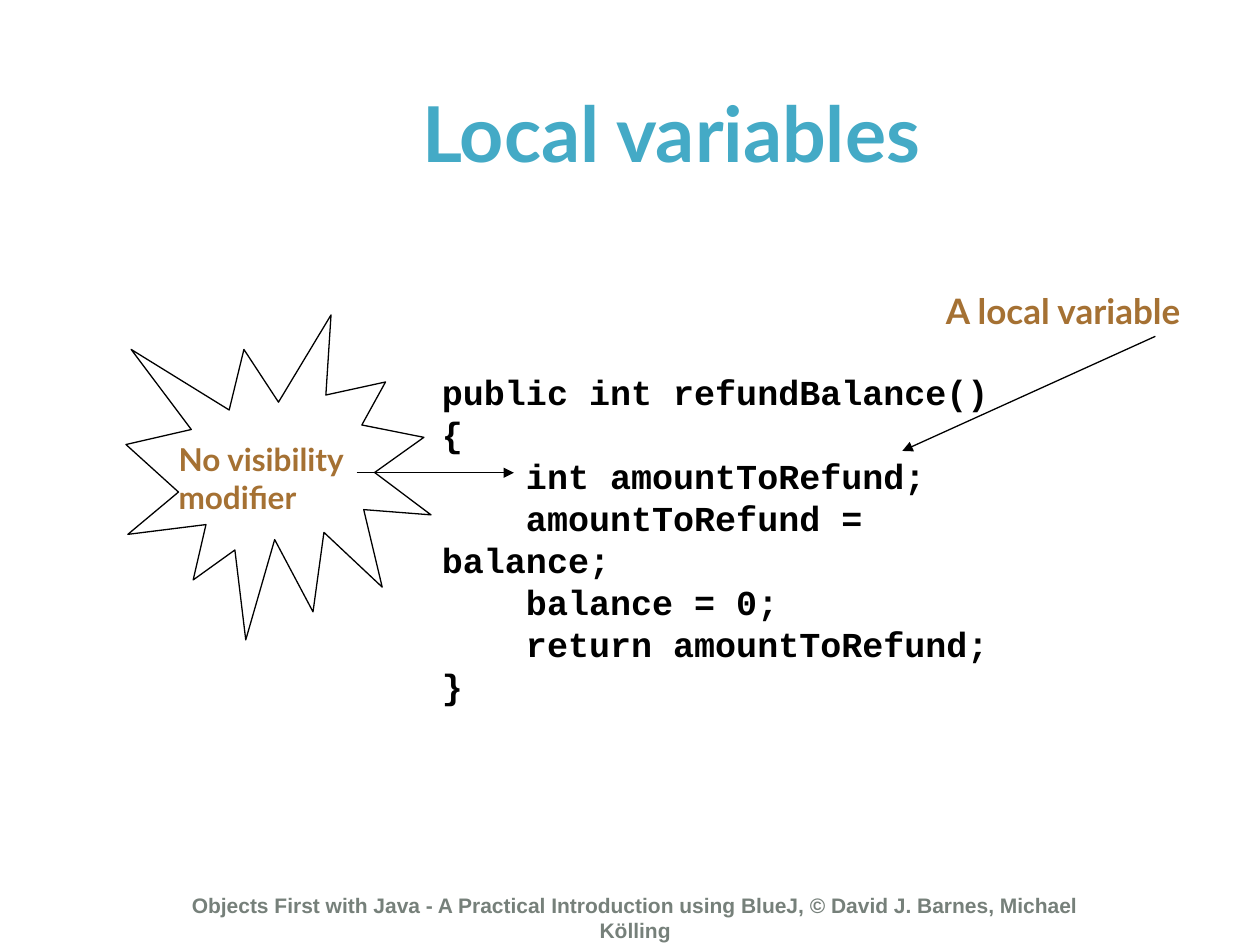
from lxml import etree
from pptx import Presentation
from pptx.dml.color import RGBColor
from pptx.enum.shapes import MSO_CONNECTOR as CONN, MSO_SHAPE as SHAPE
from pptx.enum.text import MSO_ANCHOR as ANCHOR, MSO_AUTO_SIZE as AUTO, PP_ALIGN as ALIGN
from pptx.oxml.ns import qn
from pptx.util import Cm, Pt


def rgb(value):
    return RGBColor.from_string(value)


class Deck:
    black, white = "000000", "FFFFFF"
    teal, brown, grey = "44AAC6", "A57133", "76807A"
    heading, code, small = "Lato", "Courier New", "Arial"
    line_width = Pt(0.75)

    def __init__(self, width, height):
        self.prs = Presentation()
        self.prs.slide_width, self.prs.slide_height = Cm(width), Cm(height)
        self.s = self.prs.slides.add_slide(self.prs.slide_layouts[6])

    def text(self, box, lines, size, font, color, align=ALIGN.LEFT,
             anchor=ANCHOR.TOP, wrap=False):
        tf = self.s.shapes.add_textbox(*map(Cm, box)).text_frame
        tf.word_wrap = wrap
        tf.auto_size = AUTO.NONE if wrap else AUTO.SHAPE_TO_FIT_TEXT
        tf.vertical_anchor = anchor
        for i, line in enumerate(lines):
            p = tf.add_paragraph() if i else tf.paragraphs[0]
            p.alignment = align
            r = p.add_run()
            r.text = line
            r.font.size, r.font.name, r.font.bold = Pt(size), font, True
            r.font.color.rgb = rgb(color)

    def burst(self, box):
        sp = self.s.shapes.add_shape(SHAPE.EXPLOSION1, *map(Cm, box))
        sp.shadow.inherit = False
        sp.fill.solid()
        sp.fill.fore_color.rgb = rgb(self.white)
        sp.line.color.rgb = rgb(self.black)
        sp.line.width = self.line_width

    def arrow(self, start, end):
        cx = self.s.shapes.add_connector(CONN.STRAIGHT, *map(Cm, start + end))
        cx.line.color.rgb = rgb(self.black)
        cx.line.width = self.line_width
        ln = cx.line._get_or_add_ln()
        etree.SubElement(ln, qn("a:tailEnd"), type="triangle")
        etree.SubElement(cx._element.spPr, qn("a:effectLst"))

    def save(self):
        self.prs.save("out.pptx")


def main():
    d = Deck(25.4, 19.05)
    d.text((2.74, 1.07, 21.59, 3.18), ["Local variables"], 44, d.heading, d.teal,
           ALIGN.CENTER, ANCHOR.MIDDLE, True)
    d.text((3.18, 17.86, 19.25, 0.84),
           ["Objects First with Java - A Practical Introduction using BlueJ, "
            "© David J. Barnes, Michael Kölling"],
           12, d.small, d.grey, ALIGN.CENTER, wrap=True)
    d.text((8.66, 7.34, 12.8, 6.2), [
        "public int refundBalance()",
        "{",
        "    int amountToRefund;",
        "    amountToRefund = balance;",
        "    balance = 0;",
        "    return amountToRefund;",
        "}",
    ], 20, d.code, d.black)
    d.text((18.82, 5.72, 5.89, 1.12), ["A local variable"], 20, d.heading, d.brown)
    d.arrow((23.29, 6.78), (18.19, 9.09))
    d.burst((2.54, 6.35, 6.15, 6.55))
    d.text((3.35, 8.74, 4.27, 1.78), ["No visibility", "modifier"], 18, d.heading, d.brown)
    d.arrow((7.19, 9.53), (10.36, 9.53))
    d.save()


if __name__ == "__main__":
    main()
